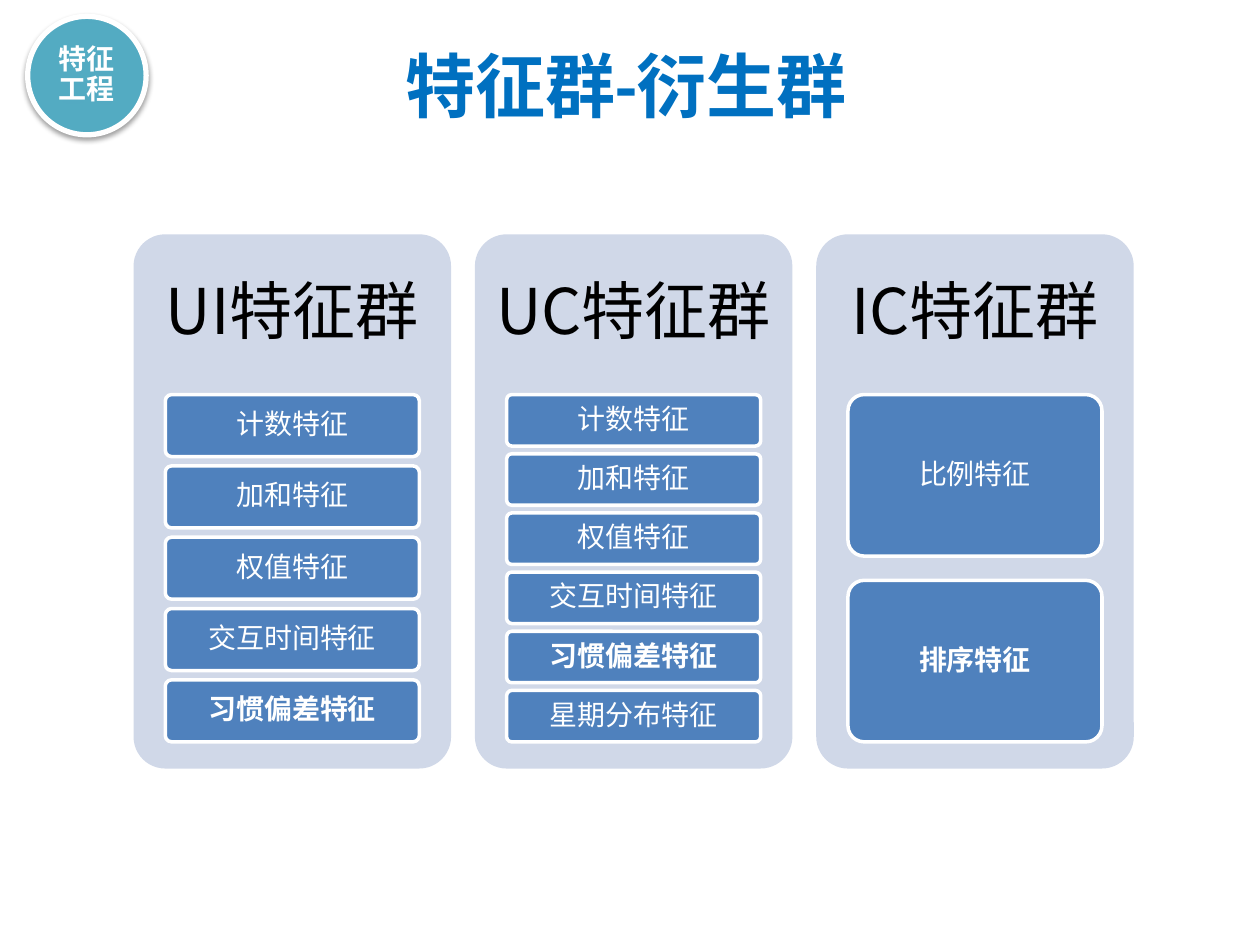
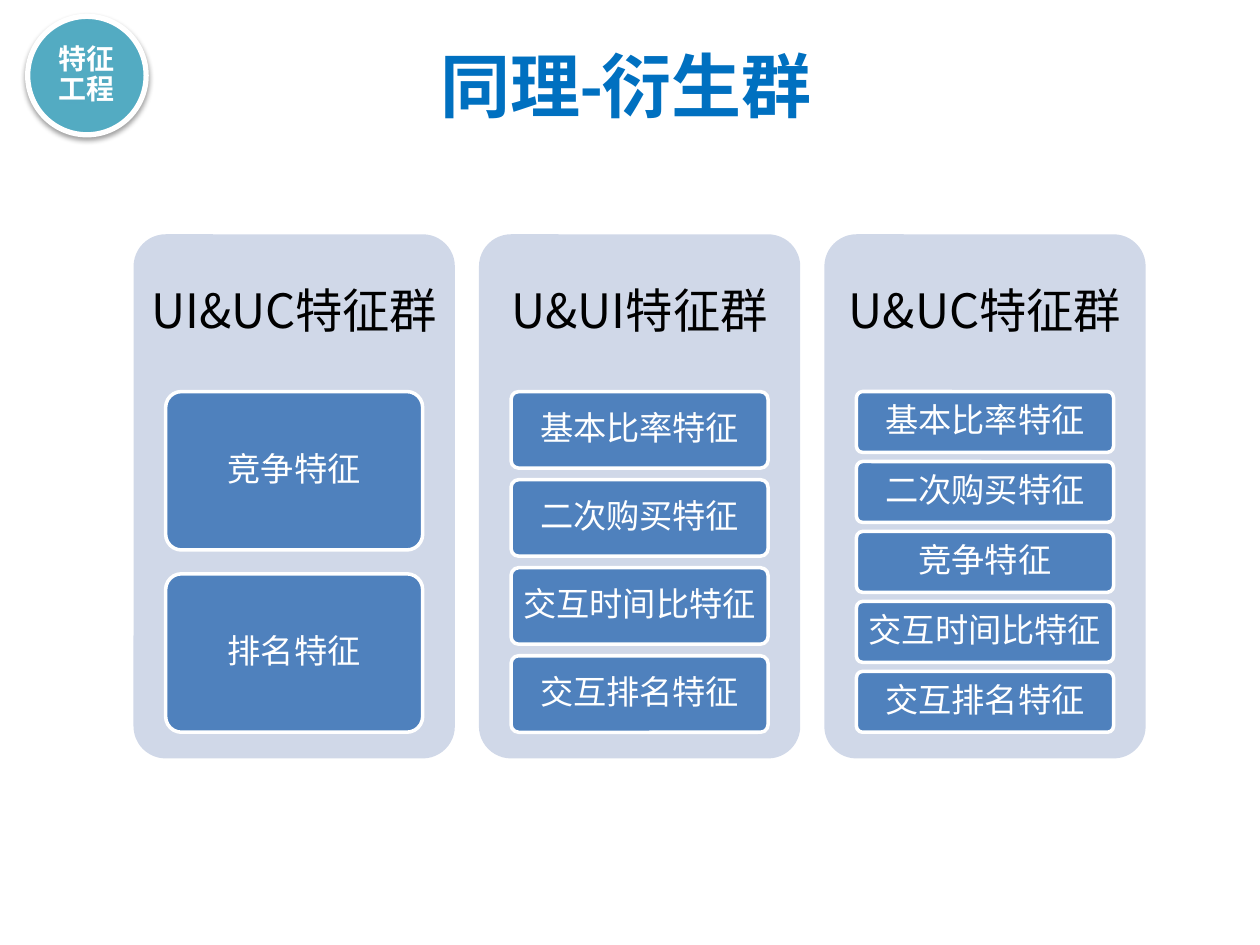
from lxml import etree
from pptx import Presentation
from pptx.dml.color import RGBColor
from pptx.enum import shapes, text
from pptx.oxml import ns, parse_xml
from pptx.util import Inches, Pt

BLUE, TEAL, PANEL, CARD = "0070C0", "4BACC6", "D0D8E8", "4F81BD"
WHITE, BLACK = "FFFFFF", "000000"
CJK, LATIN = "Noto Sans CJK SC", "Calibri"
BOLD = {"习惯偏差特征", "排序特征"}
LEFT, TOP = 1.06, 1.86
COLUMN_GAP, CARD_GAP = 0.075, 0.15
HEAD, BODY = 0.3, 0.65
SHADOW = (
    f'<a:effectLst {ns.nsdecls("a")}><a:outerShdw blurRad="{Pt(3.1)}" dist="{Pt(1.6)}" dir="5400000" '
    'rotWithShape="0"><a:srgbClr val="000000"><a:alpha val="38000"/></a:srgbClr></a:outerShdw></a:effectLst>'
)

SLIDES = [
    dict(title="特征群-衍生群", title_w=3.75, w=2.52, h=4.24, head_size=36, head_pad=0.15,
         size=16, pad=(0.04, 0.03), columns={
             "UI特征群": ["计数特征", "加和特征", "权值特征", "交互时间特征", "习惯偏差特征"],
             "UC特征群": ["计数特征", "加和特征", "权值特征", "交互时间特征", "习惯偏差特征", "星期分布特征"],
             "IC特征群": ["比例特征", "排序特征"]}),
    dict(title="同理-衍生群", title_w=3.19, w=2.55, h=4.16, head_size=27, head_pad=0.11,
         size=19, pad=(0.05, 0.04), columns={
             "UI&UC特征群": ["竞争特征", "排名特征"],
             "U&UI特征群": ["基本比率特征", "二次购买特征", "交互时间比特征", "交互排名特征"],
             "U&UC特征群": ["基本比率特征", "二次购买特征", "竞争特征", "交互时间比特征", "交互排名特征"]}),
]


def write(sp, words, size, color, pad, bold=False, font=CJK, spacing=0.9, anchor=text.MSO_ANCHOR.MIDDLE):
    tf = sp.text_frame
    tf.word_wrap, tf.auto_size, tf.vertical_anchor = True, text.MSO_AUTO_SIZE.NONE, anchor
    tf.margin_left = tf.margin_right = Inches(pad[0])
    tf.margin_top = tf.margin_bottom = Inches(pad[1])
    p = tf.paragraphs[0]
    p.alignment, p.line_spacing = text.PP_ALIGN.CENTER, spacing
    r = p.add_run()
    r.text = words
    r.font.size, r.font.bold, r.font.name = Pt(size), bold, font
    r.font.color.rgb = RGBColor.from_string(color)
    rpr = r.font._element
    rpr.set("lang", "zh-CN")
    etree.SubElement(rpr, ns.qn("a:ea")).set("typeface", LATIN)


def add_box(s, kind, box, fill, line_width=0):
    sp = s.shapes.add_shape(kind, *map(Inches, box))
    sp.shadow.inherit = False
    sp.fill.solid()
    sp.fill.fore_color.rgb = RGBColor.from_string(fill)
    if line_width:
        sp.line.color.rgb = RGBColor.from_string(WHITE)
        sp.line.width = Pt(line_width)
    else:
        sp.line.fill.background()
    if kind == shapes.MSO_SHAPE.ROUNDED_RECTANGLE:
        sp.adjustments[0] = 0.1
    return sp


prs = Presentation()
prs.slide_width, prs.slide_height = Inches(10), Inches(7.5)

for spec_row in SLIDES:
    s = prs.slides.add_slide(prs.slide_layouts[5])
    w, h, size = spec_row["w"], spec_row["h"], spec_row["size"]

    title = s.shapes.title
    title.left, title.top = Inches(4.97 - spec_row["title_w"] / 2), Inches(0.29)
    title.width, title.height = Inches(spec_row["title_w"]), Inches(0.77)
    write(title, spec_row["title"], 40, BLUE, (0.1, 0.05), True, LATIN, 1.0, text.MSO_ANCHOR.TOP)

    badge = add_box(s, shapes.MSO_SHAPE.OVAL, (0.22, 0.13, 0.94, 0.94), TEAL, 3)
    sppr = badge._element.spPr
    etree.SubElement(sppr.find(".//" + ns.qn("a:srgbClr")), ns.qn("a:alpha")).set("val", "90000")
    sppr.replace(sppr.find(ns.qn("a:effectLst")), parse_xml(SHADOW))
    write(badge, "特征工程", 16, WHITE, (0.02, 0.02), True)

    for col, (heading, features) in enumerate(spec_row["columns"].items()):
        x = LEFT + col * w * (1 + COLUMN_GAP)
        add_box(s, shapes.MSO_SHAPE.ROUNDED_RECTANGLE, (x, TOP, w, h), PANEL)
        head = s.shapes.add_textbox(*map(Inches, (x, TOP, w, h * HEAD)))
        write(head, heading, spec_row["head_size"], BLACK, (spec_row["head_pad"],) * 2)

        n = len(features)
        card_h = h * BODY / (n + CARD_GAP * (n - 1))
        for row, feature in enumerate(features):
            y = TOP + h * HEAD + row * card_h * (1 + CARD_GAP)
            card = add_box(s, shapes.MSO_SHAPE.ROUNDED_RECTANGLE, (x + w * 0.1, y, w * 0.8, card_h), CARD, 2)
            write(card, feature, size, WHITE, spec_row["pad"], feature in BOLD)

prs.save("out.pptx")
